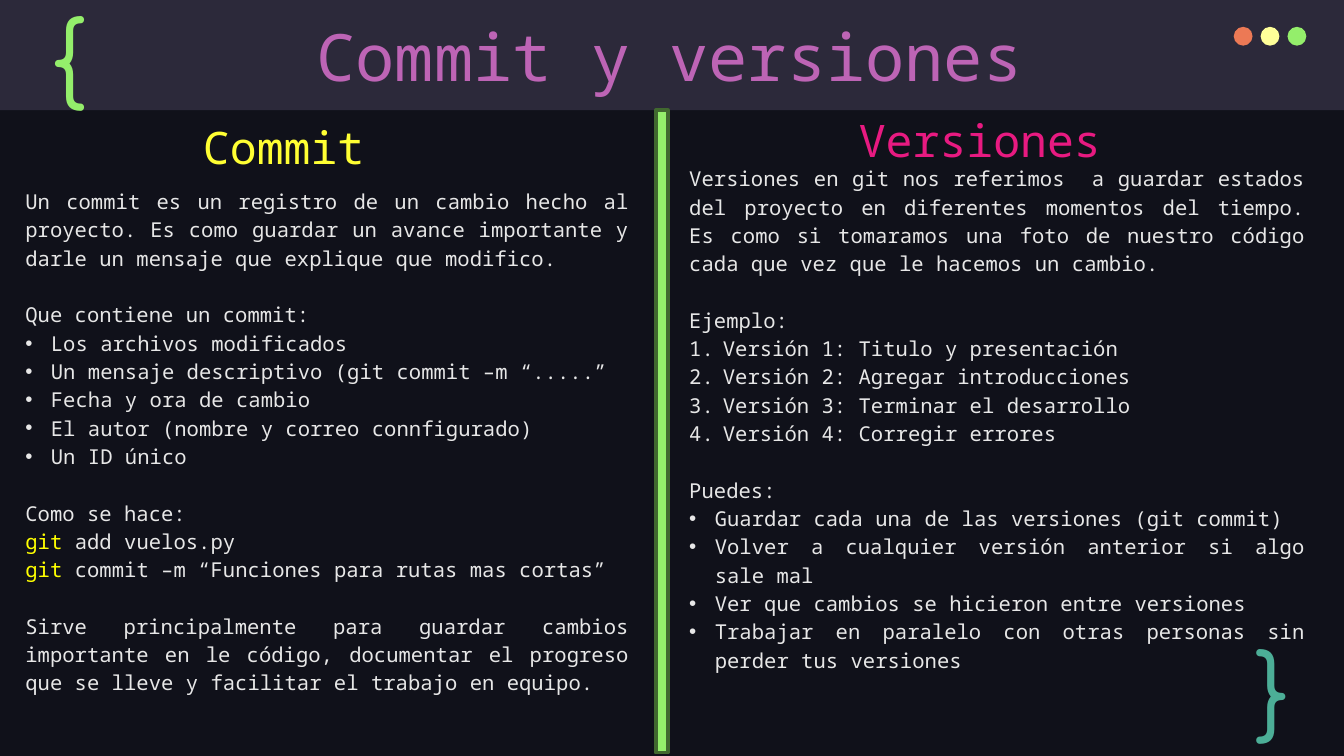
from collections import namedtuple
from dataclasses import dataclass

from lxml import etree
from pptx import Presentation
from pptx import util as u
from pptx.dml.color import RGBColor
from pptx.enum import shapes, text
from pptx.oxml import ns

Box = namedtuple("Box", "left top width height")
Line = namedtuple("Line", "words style gap", defaults=("plain", False))


@dataclass(frozen=True)
class Theme:
    """Colours, fonts and type sizes of the slide."""
    background: str = "10111A"
    banner: str = "2C293A"
    title: str = "BD64B5"
    body: str = "E7E7E7"
    command: str = "FFFF00"
    commit: str = "FFFF33"
    versions: str = "E81A81"
    green: str = "94EE6B"
    dark_green: str = "41682F"
    teal: str = "4CAE97"
    orange: str = "EC7955"
    cream: str = "FFFF99"
    mono: str = "Noto Sans Mono"
    rounded: str = "Comfortaa"
    title_size: float = 35
    heading_size: float = 24
    body_size: float = 11
    brace_size: float = 50
    leading: float = 1.15
    paragraph_gap: float = 15.2


THEME = Theme()
ALIGN = text.PP_ALIGN
LISTS = {"bullet": (0.19, "a:buChar", {"char": "•"}),
         "number": (0.25, "a:buAutoNum", {"type": "arabicPeriod"})}

COMMIT_LINES = [
    Line("Un commit es un registro de un cambio hecho al proyecto. Es como guardar un avance "
         "importante y darle un mensaje que explique que modifico."),
    Line("Que contiene un commit:", gap=True),
    Line("Los archivos modificados ", "bullet"),
    Line("Un mensaje descriptivo (git commit –m “.....”", "bullet"),
    Line("Fecha y ora de cambio ", "bullet"),
    Line("El autor (nombre y correo connfigurado)", "bullet"),
    Line("Un ID único", "bullet"),
    Line("Como se hace:", gap=True),
    Line("git add vuelos.py", "command"),
    Line("git commit –m “Funciones para rutas mas cortas”", "command"),
    Line("Sirve principalmente para guardar cambios importante en le código, documentar el "
         "progreso que se lleve y facilitar el trabajo en equipo.", gap=True),
]
VERSION_LINES = [
    Line("Versiones en git nos referimos  a guardar estados del proyecto en diferentes momentos "
         "del tiempo. Es como si tomaramos una foto de nuestro código cada que vez que le "
         "hacemos un cambio."),
    Line("Ejemplo:", gap=True),
    Line("Versión 1: Titulo y presentación", "number"),
    Line("Versión 2: Agregar introducciones ", "number"),
    Line("Versión 3: Terminar el desarrollo", "number"),
    Line("Versión 4: Corregir errores", "number"),
    Line("Puedes: ", gap=True),
    Line("Guardar cada una de las versiones (git commit)", "bullet"),
    Line("Volver a cualquier versión anterior si algo sale mal ", "bullet"),
    Line("Ver que cambios se hicieron entre versiones", "bullet"),
    Line("Trabajar en paralelo con otras personas sin perder tus versiones ", "bullet"),
]


def inches(box):
    """Return the four lengths of a box in slide units."""
    return [u.Inches(length) for length in box]


def style_run(run, size, color, font=THEME.mono):
    """Set the type of one run."""
    run.font.size = u.Pt(size)
    run.font.name = font
    run.font.color.rgb = RGBColor.from_string(color)


def add_block(slide, box, kind, fill):
    """Add a plain filled shape without outline."""
    block = slide.shapes.add_shape(kind, *inches(box))
    block.shadow.inherit = False
    block.fill.solid()
    block.fill.fore_color.rgb = RGBColor.from_string(fill)
    block.line.fill.background()
    return block


def add_frame(slide, box, anchor=text.MSO_ANCHOR.TOP):
    """Add a wrapping text box and return its text frame."""
    frame = slide.shapes.add_textbox(*inches(box)).text_frame
    frame.word_wrap = True
    frame.vertical_anchor = anchor
    frame.margin_left = frame.margin_right = u.Inches(0.1)
    frame.margin_top = frame.margin_bottom = u.Inches(0.1)
    return frame


def add_label(slide, box, words, size, color, font=THEME.mono, align=ALIGN.CENTER,
              anchor=text.MSO_ANCHOR.TOP):
    """Add a label of one line and return its paragraph."""
    label = add_frame(slide, box, anchor).paragraphs[0]
    label.text = words
    label.alignment = align
    style_run(label.runs[0], size, color, font)
    return label


def add_brace(slide, box, brace, color):
    """Add a large decorative brace."""
    add_label(slide, box, brace, THEME.brace_size, color, THEME.rounded, ALIGN.LEFT)


def mark_item(paragraph, style):
    """Give a paragraph its hanging bullet or number."""
    indent, tag, attributes = LISTS[style]
    properties = paragraph._p.get_or_add_pPr()
    properties.set("marL", str(u.Inches(indent)))
    properties.set("indent", str(-u.Inches(indent)))
    color = etree.SubElement(properties, ns.qn("a:buClr"))
    etree.SubElement(color, ns.qn("a:srgbClr"), val=THEME.body)
    font = "Arial" if style == "bullet" else THEME.mono
    etree.SubElement(properties, ns.qn("a:buFont"), typeface=font)
    etree.SubElement(properties, ns.qn(tag), attributes)


def write_line(paragraph, line):
    """Write one body line with its list mark and command colour."""
    paragraph.alignment = ALIGN.JUSTIFY
    paragraph.line_spacing = THEME.leading
    if line.gap:
        paragraph.space_before = u.Pt(THEME.paragraph_gap)
    if line.style in LISTS:
        mark_item(paragraph, line.style)
    paragraph.text = line.words
    if line.style == "command":
        program, arguments = line.words.split(" ", 1)
        paragraph.text = program + " "
        paragraph.add_run().text = arguments
    for run in paragraph.runs:
        style_run(run, THEME.body_size, THEME.body)
    if line.style == "command":
        style_run(paragraph.runs[0], THEME.body_size, THEME.command)


def build_header(slide, box):
    """Build the banner with its title, brace and window dots."""
    add_block(slide, box, shapes.MSO_SHAPE.RECTANGLE, THEME.banner)
    add_label(slide, Box(box.left + 0.75, box.top + 0.02, 8.76, 0.81), "Commit y versiones ",
              THEME.title_size, THEME.title)
    add_brace(slide, Box(box.left + 0.28, box.top - 0.13, 0.77, 0.95), "{", THEME.green)
    for i, color in enumerate((THEME.orange, THEME.cream, THEME.green)):
        dot = Box(box.left + 9.18 + 0.2 * i, box.top + 0.2, 0.14, 0.14)
        add_block(slide, dot, shapes.MSO_SHAPE.OVAL, color)


def build_column(slide, box, heading, color, heading_indent, body_drop, lines):
    """Build one topic column: a heading above its body text."""
    label = add_label(slide, Box(box.left + heading_indent, box.top, 3.08, 0.54), heading,
                      THEME.heading_size, color, anchor=text.MSO_ANCHOR.BOTTOM)
    label.line_spacing = THEME.leading
    body = add_frame(slide, Box(box.left, box.top + body_drop, box.width, box.height - body_drop))
    for i, line in enumerate(lines):
        write_line(body.add_paragraph() if i else body.paragraphs[0], line)


def build_divider(slide, box):
    """Build the outlined bar between the columns."""
    bar = add_block(slide, box, shapes.MSO_SHAPE.RECTANGLE, THEME.green)
    bar.line.color.rgb = RGBColor.from_string(THEME.dark_green)
    bar.line.width = u.Pt(2)


def main():
    """Build the slide and save it."""
    deck = Presentation()
    deck.slide_width = u.Inches(10)
    deck.slide_height = deck.slide_width * 9 // 16
    slide = deck.slides.add_slide(deck.slide_layouts[6])
    slide.background.fill.solid()
    slide.background.fill.fore_color.rgb = RGBColor.from_string(THEME.background)
    build_header(slide, Box(0, 0, 10, 0.82))
    add_brace(slide, Box(9.24, 4.58, 0.57, 0.83), "}", THEME.teal)
    build_column(slide, Box(0.09, 0.85, 4.69, 4.63), "Commit ", THEME.commit, 0.58, 0.43,
                 COMMIT_LINES)
    build_column(slide, Box(5.03, 0.8, 4.78, 4.42), "Versiones ", THEME.versions, 0.82, 0.31,
                 VERSION_LINES)
    build_divider(slide, Box(4.88, 0.82, 0.09, 4.78))
    deck.save("out.pptx")


if __name__ == "__main__":
    main()
